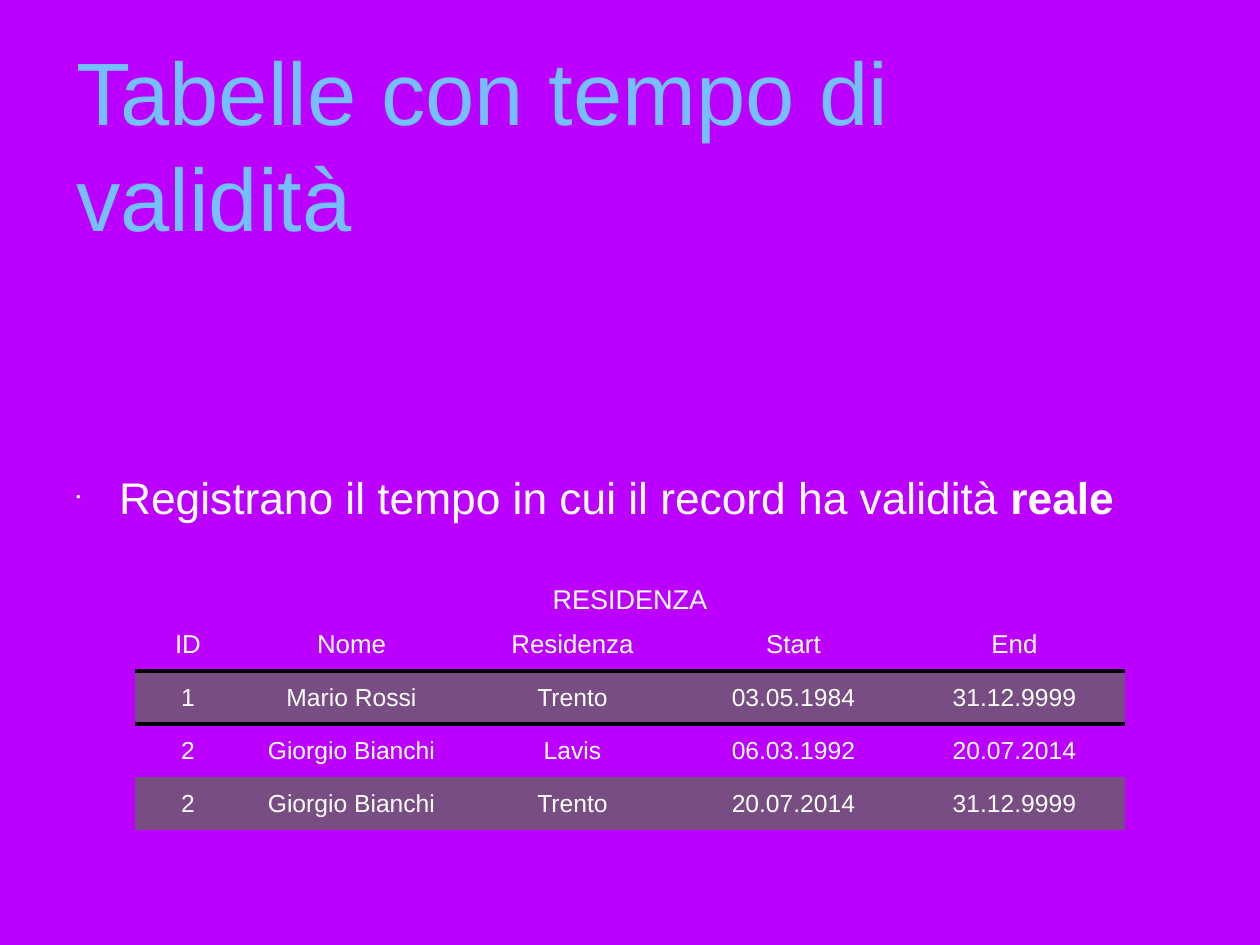
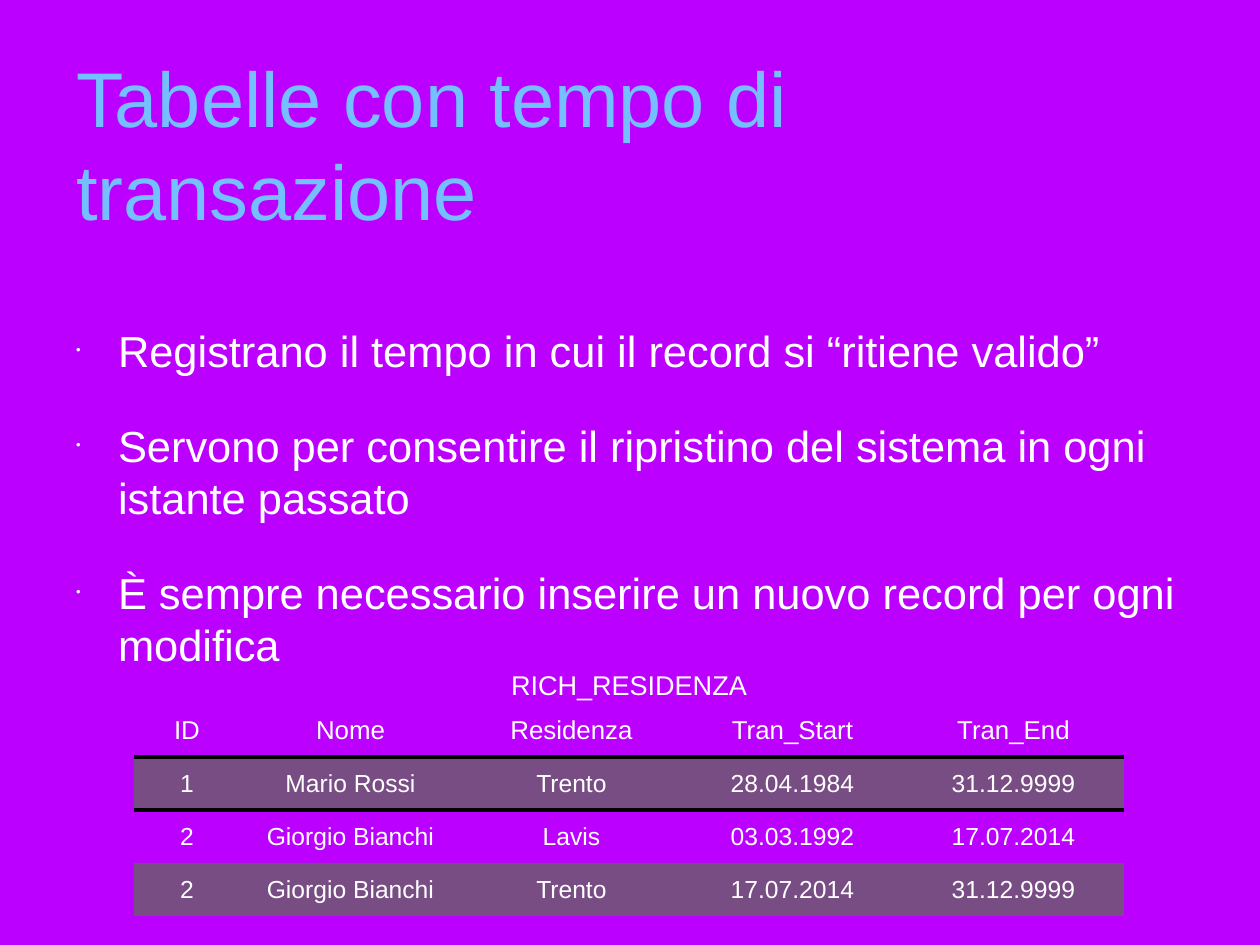
import dataclasses

import lxml.etree
import pptx
import pptx.dml.color
import pptx.enum.text
import pptx.oxml.ns
import pptx.util

EMU_PER_PX = 10320
NO_STYLE = "{2D5ABB26-0587-4C30-8999-92F81FD0307C}"
ALIGN = pptx.enum.text.PP_ALIGN
MIDDLE = pptx.enum.text.MSO_ANCHOR.MIDDLE
qn = pptx.oxml.ns.qn


@dataclasses.dataclass(frozen=True)
class Theme:
    font: str = "Arial"
    background: str = "BC00FF"
    title: str = "73BFFF"
    text: str = "FFFFFF"
    band: str = "676164"
    band_opacity: int = 80
    rule: str = "000000"
    rule_pt: int = 3
    line_height: float = 1.2
    caption_pt: int = 22
    header_pt: int = 21
    cell_pt: int = 20


THEME = Theme()


def px(n):
    return pptx.util.Emu(n * EMU_PER_PX)


def rgb(value):
    return pptx.dml.color.RGBColor.from_string(value)


def sub(parent, tag, **attrs):
    return lxml.etree.SubElement(parent, qn(tag), {k: str(v) for k, v in attrs.items()})


def add_run(p, text, *, size, color=THEME.text, bold=False):
    r = p.add_run()
    r.text = text
    r.font.name = THEME.font
    r.font.size = pptx.util.Pt(size)
    r.font.bold = bold
    r.font.color.rgb = rgb(color)


def place(sp, left, top, width, height):
    sp.left, sp.top, sp.width, sp.height = map(px, (left, top, width, height))
    tf = sp.text_frame
    tf.word_wrap = True
    tf.auto_size = pptx.enum.text.MSO_AUTO_SIZE.NONE
    tf.vertical_anchor = MIDDLE
    tf.margin_left = tf.margin_top = tf.margin_right = tf.margin_bottom = 0
    return tf


def format_paragraph(p, size, before=0):
    p.alignment = ALIGN.LEFT
    p.line_spacing = pptx.util.Pt(size * THEME.line_height)
    p.space_before = pptx.util.Pt(before)


def set_title(s, text, size):
    p = place(s.shapes.title, 76, 25, 1100, 236).paragraphs[0]
    format_paragraph(p, size)
    add_run(p, text, size=size, color=THEME.title)


def set_bullets(s, items, size):
    tf = place(s.placeholders[1], 76, 268, 1107, 458)
    indent = px(round(size * 1.2))
    for i, parts in enumerate(items):
        p = tf.add_paragraph() if i else tf.paragraphs[0]
        format_paragraph(p, size, before=int(size))
        pPr = p._p.get_or_add_pPr()
        pPr.set("marL", str(indent))
        pPr.set("indent", str(-indent))
        sub(pPr, "a:buSzPct", val=30000)
        sub(pPr, "a:buChar", char="•")
        for text, bold in parts:
            add_run(p, text, size=size, bold=bold)


def fill_cell(cell, text, size, banded=False):
    cell.vertical_anchor = MIDDLE
    cell.margin_left = cell.margin_top = cell.margin_right = cell.margin_bottom = px(1)
    p = cell.text_frame.paragraphs[0]
    p.alignment = ALIGN.CENTER
    add_run(p, text, size=size)
    if banded:
        cell.fill.solid()
        cell.fill.fore_color.rgb = rgb(THEME.band)
        color = cell._tc.tcPr.find(".//" + qn("a:srgbClr"))
        sub(color, "a:alpha", val=THEME.band_opacity * 1000)
    else:
        cell.fill.background()


def add_rule(cell, tag):
    tcPr = cell._tc.get_or_add_tcPr()
    ln = sub(tcPr, tag, w=pptx.util.Pt(THEME.rule_pt))
    sub(sub(ln, "a:solidFill"), "a:srgbClr", val=THEME.rule)
    tcPr.insert(0, ln)


def add_records(s, left, top, caption, header, records):
    widths = [106] + [221] * 4
    heights = [36] + [53] * (len(records) + 1)
    table = s.shapes.add_table(len(heights), len(widths), px(left), px(top),
                               px(sum(widths)), px(sum(heights))).table
    table.first_row = table.horz_banding = False
    table._tbl.tblPr.find(qn("a:tableStyleId")).text = NO_STYLE
    for col, width in zip(table.columns, widths):
        col.width = px(width)
    for row, height in zip(table.rows, heights):
        row.height = px(height)

    table.cell(0, 0).merge(table.cell(0, len(widths) - 1))
    fill_cell(table.cell(0, 0), caption, THEME.caption_pt)
    for c, text in enumerate(header):
        fill_cell(table.cell(1, c), text, THEME.header_pt)
    for i, record in enumerate(records):
        for c, text in enumerate(record):
            fill_cell(table.cell(i + 2, c), text, THEME.cell_pt, banded=i % 2 == 0)
    for c in range(len(widths)):
        add_rule(table.cell(1, c), "a:lnB")
        add_rule(table.cell(2, c), "a:lnT")


def add_slide(prs, title, title_pt, bullets, bullet_pt, table):
    s = prs.slides.add_slide(prs.slide_layouts[1])
    set_title(s, title, title_pt)
    set_bullets(s, bullets, bullet_pt)
    add_records(s, **table)


def main():
    prs = pptx.Presentation()
    prs.slide_width, prs.slide_height = px(1260), px(945)
    fill = prs.slide_master.background.fill
    fill.solid()
    fill.fore_color.rgb = rgb(THEME.background)

    add_slide(
        prs, "Tabelle con tempo di validità", 72,
        [[("Registrano il tempo in cui il record ha validità ", False), ("reale", True)]], 36,
        dict(left=135, top=582, caption="RESIDENZA",
             header=["ID", "Nome", "Residenza", "Start", "End"],
             records=[
                 ["1", "Mario Rossi", "Trento", "03.05.1984", "31.12.9999"],
                 ["2", "Giorgio Bianchi", "Lavis", "06.03.1992", "20.07.2014"],
                 ["2", "Giorgio Bianchi", "Trento", "20.07.2014", "31.12.9999"],
             ]))
    add_slide(
        prs, "Tabelle con tempo di transazione", 63,
        [[("Registrano il tempo in cui il record si “ritiene valido”", False)],
         [("Servono per consentire il ripristino del sistema in ogni istante passato", False)],
         [("È sempre necessario inserire un nuovo record per ogni modifica", False)]], 35.3,
        dict(left=134, top=668, caption="RICH_RESIDENZA",
             header=["ID", "Nome", "Residenza", "Tran_Start", "Tran_End"],
             records=[
                 ["1", "Mario Rossi", "Trento", "28.04.1984", "31.12.9999"],
                 ["2", "Giorgio Bianchi", "Lavis", "03.03.1992", "17.07.2014"],
                 ["2", "Giorgio Bianchi", "Trento", "17.07.2014", "31.12.9999"],
             ]))
    prs.save("out.pptx")


if __name__ == "__main__":
    main()
